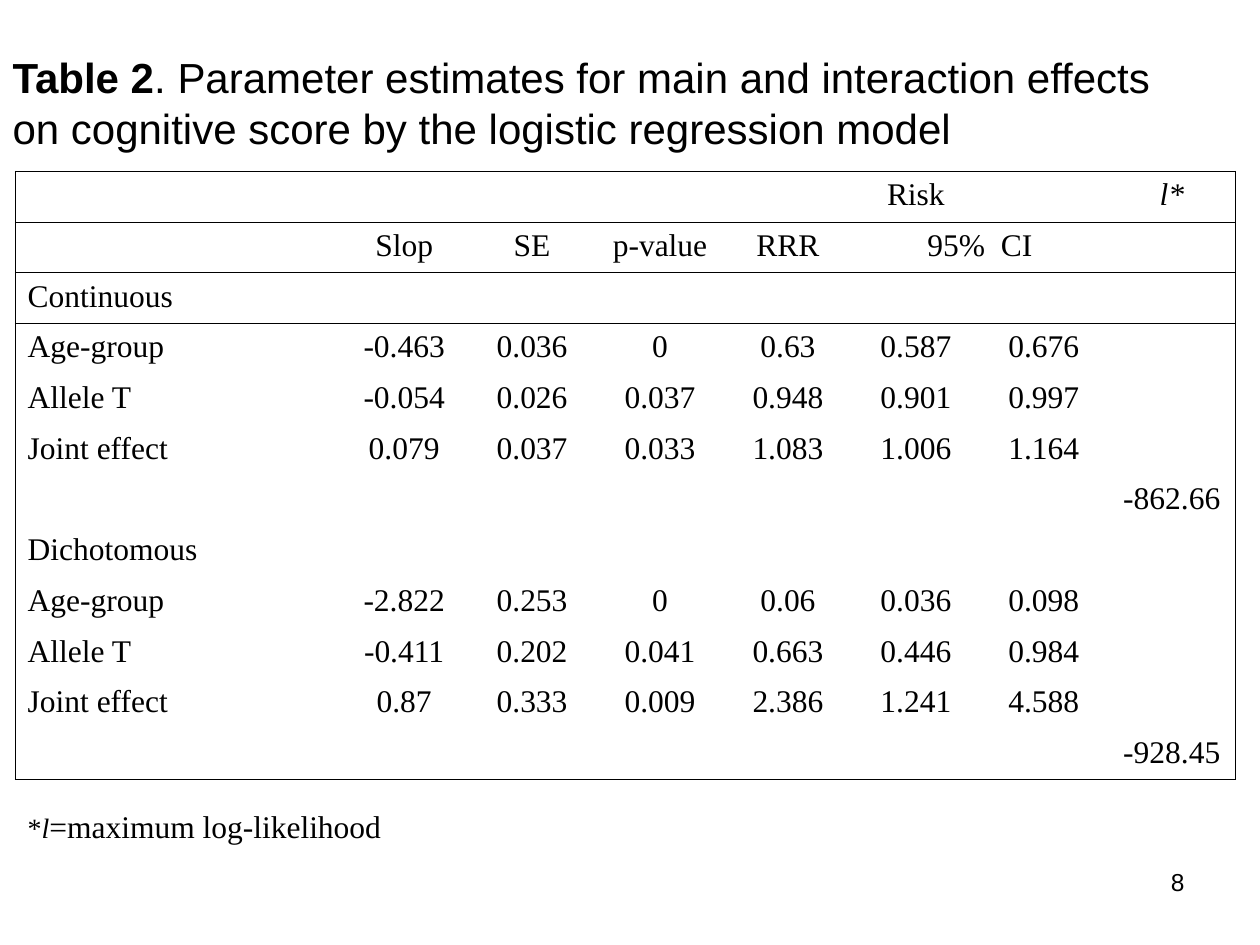
from dataclasses import dataclass

from lxml import etree
from pptx import Presentation
from pptx import util as u
from pptx.dml.color import RGBColor
from pptx.enum import text
from pptx.oxml import ns


@dataclass(frozen=True)
class Theme:
    ink: str = "000000"
    sans: str = "Arial"
    serif: str = "Times New Roman"
    title: int = 24
    body: int = 18
    note: int = 16
    number: int = 14
    rule: float = 0.45


THEME = Theme()
LEFT, CENTER, RIGHT = text.PP_ALIGN.LEFT, text.PP_ALIGN.CENTER, text.PP_ALIGN.RIGHT
NO_GRID_STYLE = "{2D5ABB26-0587-4C30-8999-92F81FD0307C}"

COLUMNS, ROWS = 8, 14
HEADER_ROW, LAST_ROW = 2, 12
RISK_COLUMNS = range(4, 7)
HEADINGS = {
    (1, 4): "Risk", (1, 7): "l*",
    (2, 1): "Slop", (2, 2): "SE", (2, 3): "p-value", (2, 4): "RRR", (2, 5): "95%  CI",
}
MERGES = [((1, 4), (1, 6)), ((2, 5), (2, 6)), ((13, 0), (13, 1))]
# Each model: first row, name, estimates and maximum log-likelihood
MODELS = [
    (3, "Continuous", [
        ("Age-group", "-0.463", "0.036", "0", "0.63", "0.587", "0.676"),
        ("Allele T", "-0.054", "0.026", "0.037", "0.948", "0.901", "0.997"),
        ("Joint effect", "0.079", "0.037", "0.033", "1.083", "1.006", "1.164"),
    ], "-862.66"),
    (8, "Dichotomous", [
        ("Age-group", "-2.822", "0.253", "0", "0.06", "0.036", "0.098"),
        ("Allele T", "-0.411", "0.202", "0.041", "0.663", "0.446", "0.984"),
        ("Joint effect", "0.87", "0.333", "0.009", "2.386", "1.241", "4.588"),
    ], "-928.45"),
]


def write(para, words, size=THEME.body, font=THEME.serif, bold=False, italic=False, align=LEFT):
    """Add one formatted span to a paragraph."""
    para.alignment = align
    span = para.add_run()
    span.text = words
    span.font.size = u.Pt(size)
    span.font.name = font
    span.font.bold = bold
    span.font.italic = italic
    span.font.color.rgb = RGBColor.from_string(THEME.ink)


def place(shape, left, top, width, height):
    shape.left, shape.top = u.Inches(left), u.Inches(top)
    shape.width, shape.height = u.Inches(width), u.Inches(height)


def add_title(page, left, top, width, height):
    title = page.shapes.title
    place(title, left, top, width, height)
    frame = title.text_frame
    frame.word_wrap = True
    frame.auto_size = text.MSO_AUTO_SIZE.SHAPE_TO_FIT_TEXT
    frame.vertical_anchor = text.MSO_ANCHOR.TOP
    para = frame.paragraphs[0]
    para.space_before = u.Pt(0)
    write(para, "Table 2", size=THEME.title, font=THEME.sans, bold=True)
    write(para, ". Parameter estimates for main and interaction effects "
                "on cognitive score by the logistic regression model",
          size=THEME.title, font=THEME.sans)


def cell_sides(row, column):
    """Sides of a cell that carry a rule, in the order the schema asks for."""
    def line_below(upper):
        return upper in (0, HEADER_ROW, LAST_ROW) or (upper == 1 and column in RISK_COLUMNS)

    framed = 1 <= row <= LAST_ROW
    ruled = {
        "L": framed and column == 0,
        "R": framed and column == COLUMNS - 1,
        "T": line_below(row - 1),
        "B": line_below(row),
    }
    return [side for side, drawn in ruled.items() if drawn]


def format_cell(cell, sides):
    properties = cell._tc.get_or_add_tcPr()
    for side in sides:
        line = etree.SubElement(properties, ns.qn(f"a:ln{side}"), w=str(u.Pt(THEME.rule)))
        fill = etree.SubElement(line, ns.qn("a:solidFill"))
        etree.SubElement(fill, ns.qn("a:srgbClr"), val=THEME.ink)
    cell.fill.background()
    # Keeps empty cells as low as the filled ones
    if not cell.text_frame.text:
        end = etree.SubElement(cell.text_frame.paragraphs[0]._p, ns.qn("a:endParaRPr"),
                               sz=str(THEME.body * 100))
        etree.SubElement(end, ns.qn("a:latin"), typeface=THEME.serif)


def add_estimates(page, left, top, width, height, label_width=2.58, end_height=0.57):
    frame = page.shapes.add_table(ROWS, COLUMNS, u.Inches(left), u.Inches(top),
                                  u.Inches(width), u.Inches(height))
    table = frame.table
    table.first_row = table.horz_banding = False
    table._tbl.tblPr.find(ns.qn("a:tableStyleId")).text = NO_GRID_STYLE

    # Grid: one label column, equal value columns, taller end rows
    value_width = (width - label_width) / (COLUMNS - 1)
    for index, column in enumerate(table.columns):
        column.width = u.Inches(value_width if index else label_width)
    row_height = (height - 2 * end_height) / (ROWS - 2)
    for index, row in enumerate(table.rows):
        row.height = u.Inches(end_height if index in (0, ROWS - 1) else row_height)
    for first, last in MERGES:
        table.cell(*first).merge(table.cell(*last))

    def put(row, column, words, **style):
        write(table.cell(row, column).text_frame.paragraphs[0], words,
              align=CENTER if column else LEFT, **style)

    # Headings and values
    for (row, column), words in HEADINGS.items():
        put(row, column, words, italic=words == "l*")
    for start, name, estimates, likelihood in MODELS:
        put(start, 0, name)
        for row, values in enumerate(estimates, start + 1):
            for column, value in enumerate(values):
                put(row, column, value)
        put(start + len(estimates) + 1, COLUMNS - 1, likelihood)

    # Footnote
    put(ROWS - 1, 0, "*", size=THEME.note)
    put(ROWS - 1, 0, "l", size=THEME.note, italic=True)
    put(ROWS - 1, 0, "=maximum log-likelihood")
    table.cell(ROWS - 1, 0).vertical_anchor = text.MSO_ANCHOR.BOTTOM

    # Rules and fills
    for row in range(ROWS):
        for column in range(COLUMNS):
            format_cell(table.cell(row, column), cell_sides(row, column))


def add_page_number(page, left, top, width, height):
    box = page.shapes.add_textbox(0, 0, 0, 0)
    place(box, left, top, width, height)
    box.text_frame.word_wrap = True
    write(box.text_frame.paragraphs[0], "8", size=THEME.number, font=THEME.sans, align=RIGHT)


def main():
    deck = Presentation()
    deck.slide_width, deck.slide_height = u.Inches(10), u.Inches(7.5)
    page = deck.slides.add_slide(deck.slide_layouts.get_by_name("Title Only"))
    add_estimates(page, 0.12, 0.79, 9.69, 5.97)
    add_title(page, 0, 0.36, 9.33, 0.9)
    add_page_number(page, 7.17, 6.83, 2.33, 0.52)
    deck.save("out.pptx")


if __name__ == "__main__":
    main()
